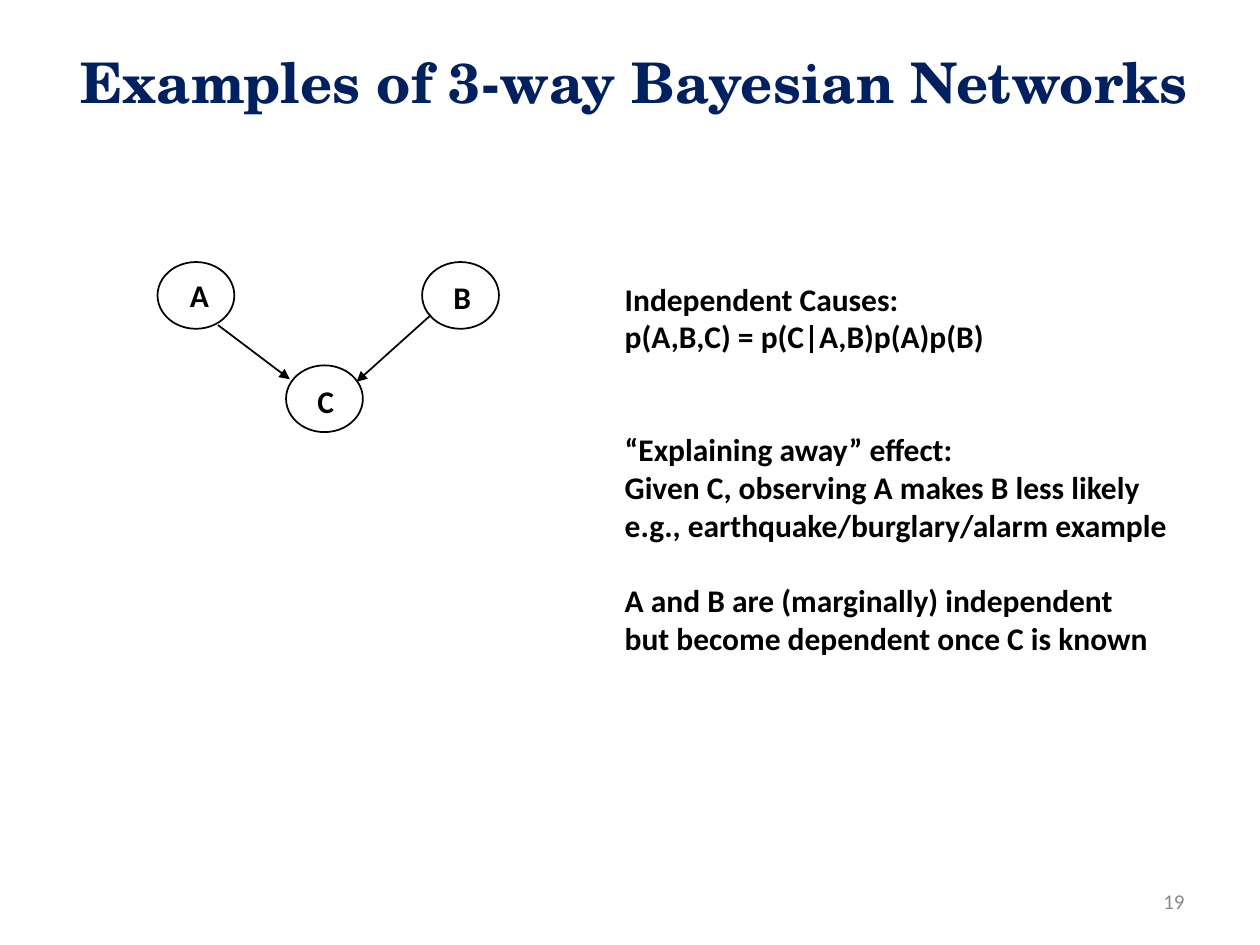
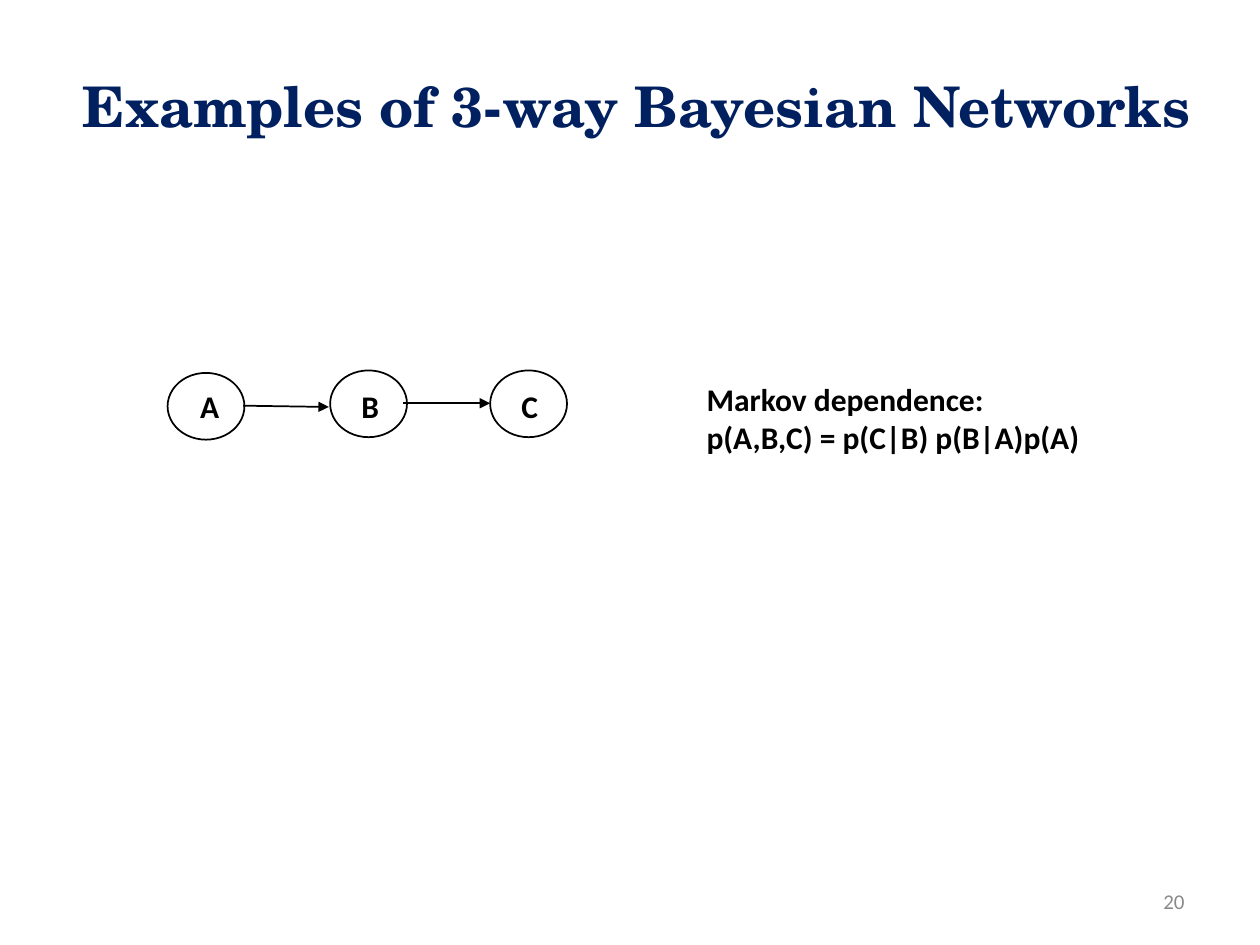
from lxml import etree
from pptx import Presentation
from pptx.dml.color import RGBColor
from pptx.enum.shapes import MSO_CONNECTOR, MSO_SHAPE
from pptx.enum.text import MSO_ANCHOR, PP_ALIGN
from pptx.oxml.ns import qn
from pptx.util import Inches, Pt

NAVY = RGBColor(0x00, 0x20, 0x60)
BLACK = RGBColor(0x00, 0x00, 0x00)
GRAY = RGBColor(0x89, 0x89, 0x89)
TITLE_FONT = "TeX Gyre Schola"
BODY_FONT = "Calibri"
TITLE = "Examples of 3-way Bayesian Networks"
NODE_WIDTH, NODE_HEIGHT = 0.61, 0.53
LABEL_OFFSETS = {"A": (0.16, 0.06), "B": (0.15, 0.08), "C": (0.15, 0.08)}

NETWORKS = [
    {
        "number": "19",
        "title_box": (0.51, 0.02, 9.05, 1.25),
        "nodes": {"A": (1.25, 2.08), "B": (3.35, 2.08), "C": (2.27, 2.9)},
        "arrows": [(1.73, 2.58, 2.3, 3.01), (3.42, 2.5, 2.83, 3.03)],
        "notes_box": (4.86, 2.17, 4.52, 3.4),
        "notes": [
            ("Independent Causes:", 0),
            ("p(A,B,C) = p(C|A,B)p(A)p(B)", 0),
            ("“Explaining away” effect:", 43),
            ("Given C, observing A makes B less likely", 0),
            ("e.g., earthquake/burglary/alarm example", 0),
            ("A and B are (marginally) independent", 21.5),
            ("but become dependent once C is known", 0),
        ],
    },
    {
        "number": "20",
        "title_box": (0.43, 0.21, 9.25, 1.25),
        "nodes": {"A": (1.33, 2.96), "B": (2.62, 2.94), "C": (3.89, 2.94)},
        "arrows": [(1.93, 3.22, 2.61, 3.23), (3.2, 3.2, 3.89, 3.2)],
        "notes_box": (5.51, 2.97, 3.16, 0.7),
        "notes": [
            ("Markov dependence:", 0),
            ("p(A,B,C) = p(C|B) p(B|A)p(A)", 0),
        ],
    },
]


def style_paragraph(paragraph, font_name, size, color, bold, alignment):
    paragraph.alignment = alignment
    font = paragraph.font
    font.name = font_name
    font.size = Pt(size)
    font.bold = bold
    font.color.rgb = color


def add_text(slide, box, lines, size=18, color=BLACK, bold=True,
             alignment=PP_ALIGN.LEFT, wrap=False):
    shape = slide.shapes.add_textbox(*map(Inches, box))
    frame = shape.text_frame
    frame.word_wrap = wrap
    for index, (text, space_before) in enumerate(lines):
        paragraph = frame.add_paragraph() if index else frame.paragraphs[0]
        paragraph.text = text
        if space_before:
            paragraph.space_before = Pt(space_before)
        style_paragraph(paragraph, BODY_FONT, size, color, bold, alignment)
    return shape


presentation = Presentation()
presentation.slide_width = Inches(10)
presentation.slide_height = Inches(7.5)
title_only = presentation.slide_layouts[5]

for network in NETWORKS:
    slide = presentation.slides.add_slide(title_only)

    title = slide.shapes.title
    title.left, title.top, title.width, title.height = map(Inches, network["title_box"])
    title.text_frame.text = TITLE
    title.text_frame.vertical_anchor = MSO_ANCHOR.MIDDLE
    title.text_frame.margin_left = title.text_frame.margin_right = 0
    style_paragraph(title.text_frame.paragraphs[0], TITLE_FONT, 32, NAVY, True,
                    PP_ALIGN.CENTER)

    for name, (left, top) in network["nodes"].items():
        node = slide.shapes.add_shape(MSO_SHAPE.OVAL, Inches(left), Inches(top),
                                      Inches(NODE_WIDTH), Inches(NODE_HEIGHT))
        node.shadow.inherit = False
        node.fill.background()
        node.line.color.rgb = BLACK
        node.line.width = Pt(1)
        offset_x, offset_y = LABEL_OFFSETS[name]
        add_text(slide, (left + offset_x, top + offset_y, 0.34, 0.4), [(name, 0)])

    for ends in network["arrows"]:
        arrow = slide.shapes.add_connector(MSO_CONNECTOR.STRAIGHT, *map(Inches, ends))
        arrow.line.color.rgb = BLACK
        arrow.line.width = Pt(1)
        etree.SubElement(arrow.line._get_or_add_ln(), qn("a:tailEnd"), type="triangle")
        etree.SubElement(arrow._element.spPr, qn("a:effectLst"))

    add_text(slide, network["notes_box"], network["notes"])
    page_number = add_text(slide, (7.17, 6.95, 2.33, 0.4), [(network["number"], 0)],
                           size=12, color=GRAY, bold=False,
                           alignment=PP_ALIGN.RIGHT, wrap=True)
    page_number.text_frame.vertical_anchor = MSO_ANCHOR.MIDDLE

presentation.save("out.pptx")
